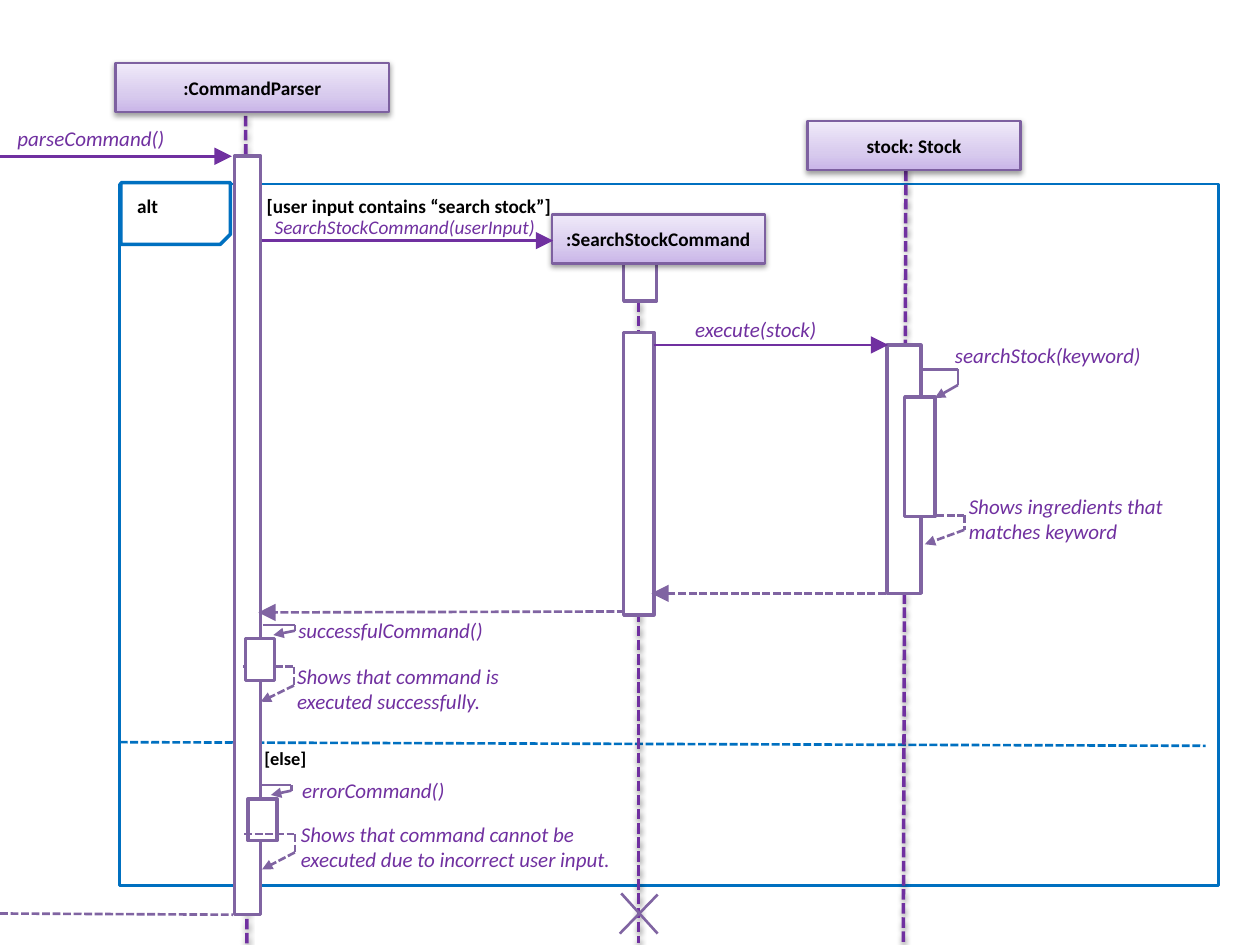
"""Build a sequence diagram slide for the search stock command."""
from copy import deepcopy
from dataclasses import dataclass

from lxml.etree import SubElement
from pptx import Presentation
from pptx.dml.color import RGBColor as RGB
from pptx.enum.dml import MSO_LINE as DASH
from pptx.enum.shapes import MSO_CONNECTOR as CONN, MSO_SHAPE as SHAPE
from pptx.enum.text import MSO_ANCHOR as ANCHOR, PP_ALIGN as ALIGN
from pptx.oxml.ns import qn
from pptx.util import Pt

COLORS = {
    "white": "FFFFFF", "black": "000000", "frame": "0070C0", "message": "7030A0",
    "bar": "8064A2", "head": "7D60A0",
}
HEAD_STOPS = [(0, "C9B5E8"), (0.35, "D8CBEE"), (1, "F0EAF9")]
LABEL = {"name": "Calibri", "size": Pt(12), "italic": True}
SMALL_LABEL = LABEL | {"size": Pt(11)}
BOLD = {"name": "Calibri", "size": Pt(11), "bold": True}
GUARD = BOLD | {"size": Pt(10.5)}


@dataclass
class Box:
    x: float
    y: float
    w: float
    h: float
    text: str = ""


@dataclass
class Line:
    x1: float
    y1: float
    x2: float
    y2: float
    color: str = "bar"
    width: float = 1.5
    dashed: bool = False
    arrow: str = ""
    shadow: bool = False


@dataclass
class Hook:
    """A self call: out to the side, down, and back to the bar."""
    x: float
    y: float
    side: float
    turn: float
    tip_x: float
    tip_y: float
    dashed: bool = False


FRAME = Box(68.4, 105.1, 627.8, 401)
TAG = Box(69.1, 104.4, 62.6, 35.3)
ALT_TEXT = Box(71.3, 105.1, 688.3, 25.2, "alt\t[user input contains “search stock”]")
ELSE_TEXT = Box(144, 415, 50, 36, "[else]")
DIVIDER = Line(68.4, 424.1, 689, 426.2, "frame", dashed=True)
LIFELINES = [
    Line(x1, y1, x2, y2, "message", 2, dashed=True, shadow=True)
    for x1, y1, x2, y2 in [
        (517.7, 81.4, 516.2, 538.6), (365, 148.3, 365, 538.6), (140.4, 66.2, 141.1, 539.3),
    ]
]
LONG_BARS = [
    Box(133.9, 89.3, 15.1, 433.4), Box(356.4, 150.5, 18.7, 21.6),
    Box(356.4, 190.1, 17.3, 161.3), Box(506.9, 197.3, 19.4, 141.8),
]
NESTED_BARS = [
    Box(517, 226.8, 17.3, 68.4), Box(140.4, 365, 16.6, 23.8), Box(141.8, 456.5, 16.6, 23.8),
]
HEADS = [
    Box(66.2, 36, 156.2, 28.1, ":CommandParser"),
    Box(315.4, 122.4, 121.7, 28.1, ":SearchStockCommand"),
    Box(461.5, 69.1, 121.7, 28.1, "stock: Stock"),
]
HOOKS_BEHIND = [
    Hook(517, 294.5, 551, 302.8, 528.5, 311, True),
    Hook(139, 380.9, 168, 391.7, 149, 401, True),
]
HOOKS_FRONT = [
    Hook(526.3, 211, 547.4, 220, 534.2, 227.5),
    Hook(150.5, 357.1, 168.5, 360.4, 156.2, 362.9),
    Hook(149, 448.6, 166.5, 451.8, 154.8, 454.3),
    Hook(139.7, 476.6, 168.5, 487.1, 149.8, 496.8, True),
]
MESSAGES = [
    Line(0, 89.3, 132.5, 89.3, "message", arrow="lg"),
    Line(149.8, 137.5, 316.1, 137.5, "message", arrow="lg"),
    Line(373.7, 197.1, 507.6, 197.1, "message", arrow="lg"),
    Line(506.2, 339.1, 372.2, 339.1, dashed=True, arrow="lg"),
    Line(357.1, 349.4, 147.6, 350, dashed=True, arrow="lg"),
    Line(0, 522, 133.2, 522.7, dashed=True),
    Line(375.8, 533.5, 355, 510.5),
    Line(375.8, 511.2, 354.2, 533.5),
]
LABELS = [
    Box(2.9, 68.4, 139, 21.6, "parseCommand()"),
    Box(390.2, 177.1, 85.7, 21.6, "execute(stock)"),
    Box(538.6, 192.2, 130.3, 21.6, "searchStock(keyword)"),
    Box(546.5, 278.6, 130.3, 36, "Shows ingredients that matches keyword"),
    Box(163.4, 349.2, 126, 21.6, "successfulCommand()"),
    Box(162.7, 375.8, 130.3, 36, "Shows that command is executed successfully."),
    Box(165.6, 440.6, 126, 21.6, "errorCommand()"),
    Box(164.9, 465.8, 199.4, 36,
        "Shows that command cannot be executed due to incorrect user input."),
]
CONSTRUCTOR = Box(149.8, 119.5, 176.4, 20.9, "SearchStockCommand(userInput)")


def rgb(name: str) -> RGB:
    return RGB.from_string(COLORS[name])


def set_effects(sp, shadow: bool) -> None:
    effects = SubElement(sp._element.spPr, qn("a:effectLst"))
    if shadow:
        outer = SubElement(effects, qn("a:outerShdw"), blurRad="40000", dist="20000",
                           dir="5400000", rotWithShape="0")
        clr = SubElement(outer, qn("a:srgbClr"), val=COLORS["black"])
        SubElement(clr, qn("a:alpha"), val="38000")


def write(sp, text: str, color: str, font: dict, **frame) -> None:
    tf = sp.text_frame
    for key, value in ({"word_wrap": True} | frame).items():
        setattr(tf, key, value)
    r = tf.paragraphs[0].add_run()
    r.text = text
    for key, value in font.items():
        setattr(r.font, key, value)
    r.font.color.rgb = rgb(color)


def add_box(shapes, box: Box, color: str = "bar", width: float = 2, kind=SHAPE.RECTANGLE):
    sp = shapes.add_shape(kind, Pt(box.x), Pt(box.y), Pt(box.w), Pt(box.h))
    sp.fill.solid()
    sp.fill.fore_color.rgb = rgb("white")
    sp.line.color.rgb = rgb(color)
    sp.line.width = Pt(width)
    sp.shadow.inherit = False
    return sp


def add_head(shapes, box: Box) -> None:
    sp = add_box(shapes, box, "head", 1.5)
    sp.fill.gradient()
    sp.fill.gradient_angle = 90
    sp_pr = sp._element.spPr
    stops = sp_pr.find(".//" + qn("a:gsLst"))
    stops.insert(1, deepcopy(stops[0]))
    for stop, (position, color) in zip(sp.fill.gradient_stops, HEAD_STOPS):
        stop.position = position
        stop.color.rgb = RGB.from_string(color)
    sp_pr.remove(sp_pr.find(qn("a:effectLst")))
    set_effects(sp, True)
    write(sp, box.text, "black", BOLD, vertical_anchor=ANCHOR.MIDDLE)
    sp.text_frame.paragraphs[0].alignment = ALIGN.CENTER


def add_text(shapes, box: Box, color: str = "message", font: dict = LABEL, **frame):
    sp = shapes.add_textbox(Pt(box.x), Pt(box.y), Pt(box.w), Pt(box.h))
    write(sp, box.text, color, font, **frame)
    return sp


def add_line(shapes, line: Line) -> None:
    sp = shapes.add_connector(CONN.STRAIGHT, Pt(line.x1), Pt(line.y1), Pt(line.x2), Pt(line.y2))
    sp.line.color.rgb = rgb(line.color)
    sp.line.width = Pt(line.width)
    if line.dashed:
        sp.line.dash_style = DASH.SQUARE_DOT
    if line.arrow:
        SubElement(sp.line._get_or_add_ln(), qn("a:tailEnd"), type="triangle",
                   w=line.arrow, len=line.arrow)
    set_effects(sp, line.shadow)


def add_hook(shapes, hook: Hook) -> None:
    group = shapes.add_group_shape().shapes
    points = [(hook.x, hook.y), (hook.side, hook.y), (hook.side, hook.turn),
              (hook.tip_x, hook.tip_y)]
    for start, end, arrow in zip(points, points[1:], ("", "", "med")):
        add_line(group, Line(*start, *end, dashed=hook.dashed, arrow=arrow))


def main() -> None:
    prs = Presentation()
    prs.slide_width, prs.slide_height = Pt(720), Pt(540)
    shapes = prs.slides.add_slide(prs.slide_layouts[6]).shapes
    add_box(shapes, FRAME, "frame", 1.5)
    tag = add_box(shapes, TAG, "frame", 2, SHAPE.SNIP_1_RECTANGLE)
    tag._element.spPr.xfrm.set("flipV", "1")
    alt = add_text(shapes, ALT_TEXT, "black", BOLD, vertical_anchor=ANCHOR.MIDDLE)
    tabs = SubElement(alt.text_frame.paragraphs[0]._p.get_or_add_pPr(), qn("a:tabLst"))
    SubElement(tabs, qn("a:tab"), pos=str(Pt(74)), algn="l")
    add_text(shapes, ELSE_TEXT, "black", GUARD, vertical_anchor=ANCHOR.MIDDLE)
    for draw, items in [
        (add_line, [DIVIDER, *LIFELINES]), (add_box, LONG_BARS), (add_hook, HOOKS_BEHIND),
        (add_box, NESTED_BARS), (add_head, HEADS), (add_hook, HOOKS_FRONT),
        (add_line, MESSAGES), (add_text, LABELS),
    ]:
        for item in items:
            draw(shapes, item)
    add_text(shapes, CONSTRUCTOR, font=SMALL_LABEL)
    prs.save("out.pptx")


if __name__ == "__main__":
    main()
